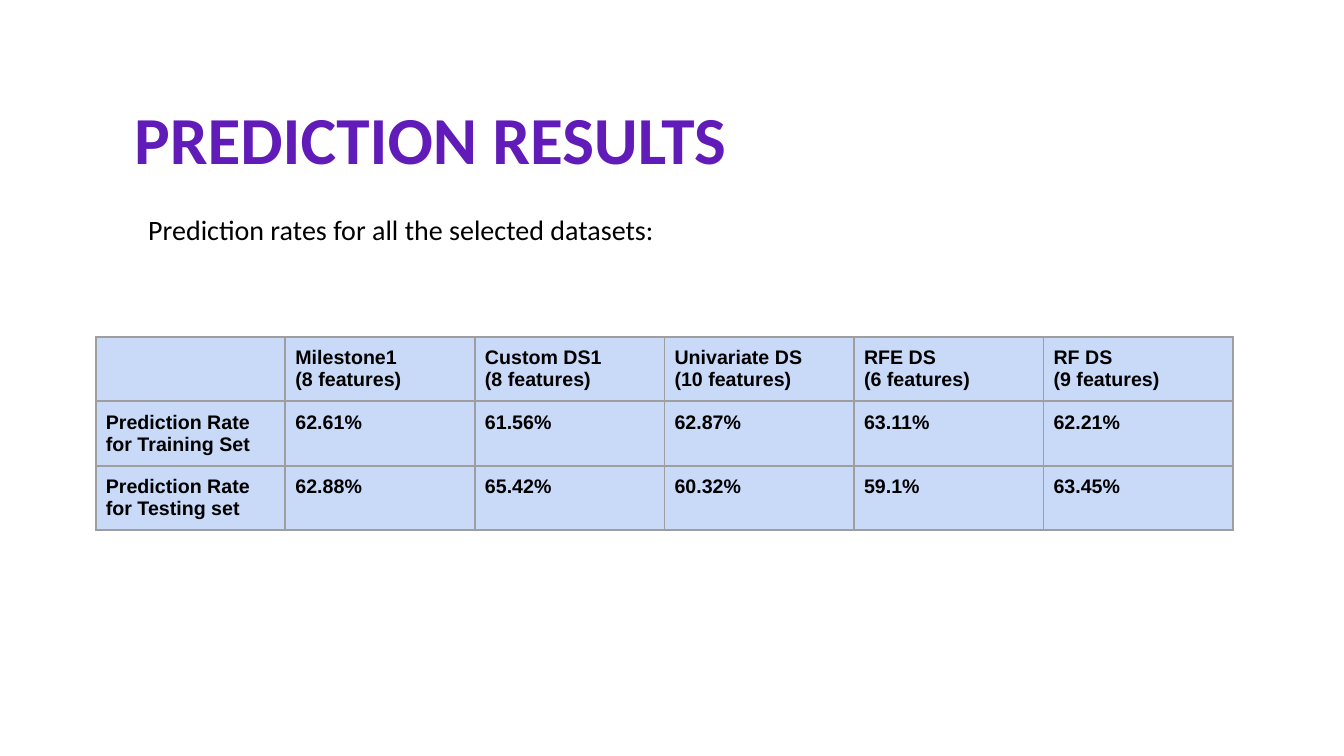
from lxml import etree
from pptx import Presentation
from pptx.dml.color import RGBColor
from pptx.enum.text import MSO_ANCHOR, MSO_AUTO_SIZE, PP_ALIGN
from pptx.oxml.ns import qn
from pptx.util import Inches, Pt

LEFT = PP_ALIGN.LEFT
TOP = MSO_ANCHOR.TOP
BOTTOM = MSO_ANCHOR.BOTTOM
NO_AUTOFIT = MSO_AUTO_SIZE.NONE

HEADERS = [
    "",
    "Milestone1\n(8 features)",
    "Custom DS1\n(8 features)",
    "Univariate DS\n(10 features)",
    "RFE DS\n(6 features)",
    "RF DS\n(9 features)",
]
RATES = [
    ["Prediction Rate for Training Set", "62.61%", "61.56%", "62.87%", "63.11%", "62.21%"],
    ["Prediction Rate for Testing set", "62.88%", "65.42%", "60.32%", "59.1%", "63.45%"],
]


def color(value):
    return RGBColor.from_string(value)


class ResultsSlide:
    HEADING_FONT = "Calibri"
    TABLE_FONT = "Arial"
    PURPLE = "611BB8"
    BLACK = "000000"
    CELL_FILL = "C9DAF8"
    BORDER = "9E9E9E"
    BORDER_WIDTH = Pt(1.5)

    def __init__(self, presentation):
        self.slide = presentation.slides.add_slide(presentation.slide_layouts[1])

    def add_run(self, paragraph, text, font, size, hex_color, bold=False):
        run = paragraph.add_run()
        run.text = text
        run.font.name = font
        run.font.size = Pt(size)
        run.font.bold = bold
        run.font.color.rgb = color(hex_color)

    def place(self, shape, left, top, width, height, anchor):
        """Move a placeholder and return its first paragraph."""
        shape.left, shape.top = Inches(left), Inches(top)
        shape.width, shape.height = Inches(width), Inches(height)
        frame = shape.text_frame
        frame.word_wrap = True
        frame.auto_size = NO_AUTOFIT
        frame.vertical_anchor = anchor
        frame.margin_left = frame.margin_right = Inches(0.13)
        frame.margin_top = frame.margin_bottom = Inches(0.13)
        paragraph = frame.paragraphs[0]
        paragraph.alignment = LEFT
        paragraph.space_before = Pt(0)
        return paragraph

    def add_title(self, text):
        paragraph = self.place(self.slide.shapes.title, 1.2, 0.31, 11, 1.59, BOTTOM)
        paragraph.line_spacing = 0.85
        self.add_run(paragraph, text, self.HEADING_FONT, 48, self.PURPLE, bold=True)

    def add_body(self, text):
        paragraph = self.place(self.slide.placeholders[1], 1.2, 2.02, 11, 4.4, TOP)
        paragraph.line_spacing = 0.9
        paragraph.space_after = Pt(2)
        properties = paragraph._p.get_or_add_pPr()
        properties.set("marL", str(Inches(0.1)))
        properties.set("indent", str(Inches(0.04)))
        etree.SubElement(properties, qn("a:buNone"))
        self.add_run(paragraph, text, self.HEADING_FONT, 20, self.BLACK)

    def add_borders(self, cell):
        properties = cell._tc.get_or_add_tcPr()
        for position, side in enumerate(("a:lnL", "a:lnR", "a:lnT", "a:lnB")):
            line = etree.Element(qn(side), w=str(self.BORDER_WIDTH))
            fill = etree.SubElement(line, qn("a:solidFill"))
            etree.SubElement(fill, qn("a:srgbClr"), val=self.BORDER)
            properties.insert(position, line)

    def fill_cell(self, cell, text):
        cell.fill.solid()
        cell.fill.fore_color.rgb = color(self.CELL_FILL)
        cell.margin_left = cell.margin_right = Inches(0.1)
        cell.margin_top = cell.margin_bottom = Inches(0.1)
        cell.vertical_anchor = TOP
        self.add_borders(cell)
        if not text:
            return
        frame = cell.text_frame
        for index, line in enumerate(text.split("\n")):
            paragraph = frame.add_paragraph() if index else frame.paragraphs[0]
            self.add_run(paragraph, line, self.TABLE_FONT, 14, self.BLACK, bold=True)

    def add_table(self, rows, left, top, column_width, row_height):
        column_count = len(rows[0])
        table = self.slide.shapes.add_table(
            len(rows), column_count, Inches(left), Inches(top),
            Inches(column_width * column_count), Inches(row_height * len(rows)),
        ).table
        table.first_row = table.horz_banding = False
        for row_index, row in enumerate(rows):
            for column_index, text in enumerate(row):
                self.fill_cell(table.cell(row_index, column_index), text)


def main():
    presentation = Presentation()
    presentation.slide_width = Inches(13.33)
    presentation.slide_height = Inches(7.5)
    results = ResultsSlide(presentation)
    results.add_title("PREDICTION RESULTS")
    results.add_body("Prediction rates for all the selected datasets:")
    results.add_table([HEADERS, *RATES], 0.95, 3.34, 1.88, 0.64)
    presentation.save("out.pptx")


if __name__ == "__main__":
    main()
